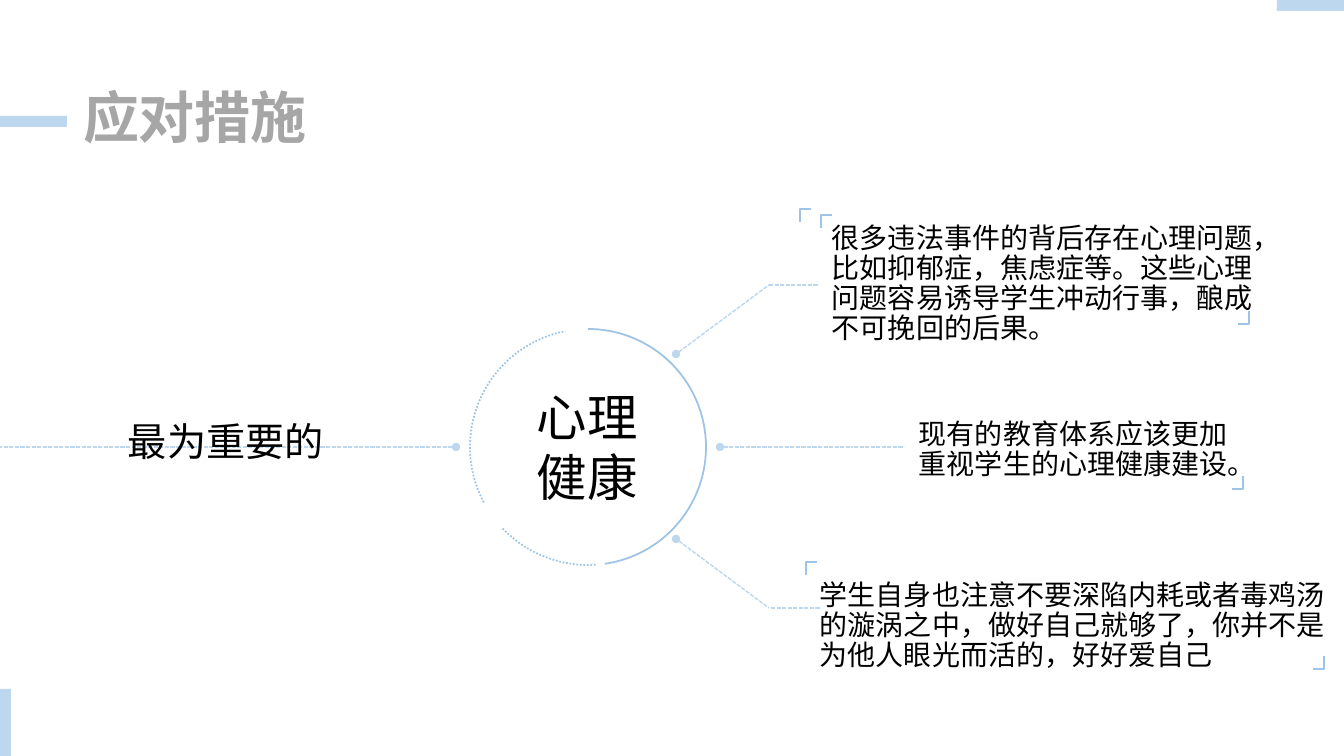
import pptx
import pptx.dml.color
import pptx.enum.dml
import pptx.enum.shapes
import pptx.enum.text
import pptx.oxml
import pptx.oxml.ns
import pptx.util

EMU_PER_PX = 914400 / 100.8
SHAPES = pptx.enum.shapes.MSO_SHAPE
DASHES = pptx.enum.dml.MSO_LINE


def px(*lengths):
    return [pptx.util.Emu(round(length * EMU_PER_PX)) for length in lengths]


def color(hex_value):
    return pptx.dml.color.RGBColor.from_string(hex_value)


def child(parent, tag, **attributes):
    node = pptx.oxml.parse_xml(f"<a:{tag} {pptx.oxml.ns.nsdecls('a')}/>")
    for name, value in attributes.items():
        node.set(name, value)
    parent.append(node)


class MindMapPage:
    """Holds the style of the mind map and draws its elements on one page."""

    font = "Noto Sans CJK SC"
    pale, blue, gray, black = "BDD7EE", "9DC3E6", "A6A6A6", "000000"

    def __init__(self, deck):
        self.page = deck.slides.add_slide(deck.slide_layouts[5])
        self.shapes = self.page.shapes

    def fill_text(self, box, bounds, text, size, ink, bold=False, spacing=None):
        box.left, box.top, box.width, box.height = px(*bounds)
        frame = box.text_frame
        frame_format = {
            "word_wrap": True,
            "auto_size": pptx.enum.text.MSO_AUTO_SIZE.SHAPE_TO_FIT_TEXT,
            "vertical_anchor": pptx.enum.text.MSO_ANCHOR.TOP,
        }
        para = frame.paragraphs[0]
        para_format = {"alignment": pptx.enum.text.PP_ALIGN.LEFT}
        if spacing:
            para_format |= {"line_spacing": spacing, "space_before": pptx.util.Pt(10)}
        span = para.add_run()
        span.text = text
        font_format = {"name": self.font, "size": pptx.util.Pt(size), "bold": bold}
        targets = ((frame, frame_format), (para, para_format), (span.font, font_format))
        for target, values in targets:
            for name, value in values.items():
                setattr(target, name, value)
        span.font.color.rgb = color(ink)
        child(span.font._element, "ea", typeface=self.font)

    def title(self, bounds, text):
        self.fill_text(self.shapes.title, bounds, text, 40, self.gray, True, 0.9)

    def label(self, bounds, text, size, spacing=None):
        box = self.shapes.add_textbox(*px(*bounds))
        self.fill_text(box, bounds, text, size, self.black, spacing=spacing)

    def bar(self, *bounds):
        bar = self.shapes.add_shape(SHAPES.RECTANGLE, *px(*bounds))
        bar.shadow.inherit = False
        bar.fill.solid()
        bar.fill.fore_color.rgb = color(self.pale)
        bar.line.fill.background()

    def stroke(self, shape, hex_value, width, dash=None):
        shape.line.color.rgb = color(hex_value)
        shape.line.width = pptx.util.Pt(width)
        shape.line.dash_style = dash

    def outline(self, shape, width, dash=None):
        shape.shadow.inherit = False
        shape.fill.background()
        self.stroke(shape, self.blue, width, dash)

    def arc(self, bounds, start, end, dash=None):
        arc = self.shapes.add_shape(SHAPES.ARC, *px(*bounds))
        for index, degrees in enumerate((start, end)):
            arc.adjustments[index] = degrees * 0.6
        self.outline(arc, 1.25, dash)

    def bracket(self, corner_x, corner_y, side):
        points = [
            px(corner_x, corner_y + 13 * side),
            px(corner_x, corner_y),
            px(corner_x + 11 * side, corner_y),
        ]
        builder = self.shapes.build_freeform(*points[0])
        builder.add_line_segments(points[1:], close=False)
        self.outline(builder.convert_to_shape(), 1)

    def dashed_line(self, start, end, dot=False):
        straight = pptx.enum.shapes.MSO_CONNECTOR.STRAIGHT
        line = self.shapes.add_connector(straight, *px(*start, *end))
        self.stroke(line, self.pale, 1, DASHES.SQUARE_DOT)
        line.line._ln.prstDash.set("val", "sysDash")
        if dot:
            child(line.line._ln, "headEnd", type="oval")
        child(line._element.spPr, "effectLst")


def main():
    deck = pptx.Presentation()
    deck.slide_width, deck.slide_height = px(1344, 756)
    mind_map = MindMapPage(deck)

    for bounds in ((0, 116, 67, 11), (1277, 0, 67, 11), (0, 689, 11, 67)):
        mind_map.bar(*bounds)
    mind_map.title((73, 85, 427, 72), "应对措施")

    ring = (470, 329, 236, 236)
    mind_map.arc(ring, 270, 81.8)
    for start, end in ((86.3, 137.15), (152, 258.9)):
        mind_map.arc(ring, start, end, DASHES.ROUND_DOT)

    for start, end in (
        ((676, 354), (769, 285)),
        ((676, 539), (769, 608)),
        ((720, 447), (853, 447)),
        ((456, 447), (0, 447)),
    ):
        mind_map.dashed_line(start, end, dot=True)
    for left, top in ((769, 285), (771, 608), (854, 447)):
        mind_map.dashed_line((left, top), (left + 50, top))

    for bounds, text in (
        ((822, 219, 458, 132), "很多违法事件的背后存在心理问题，比如抑郁症，焦虑症等。这些心理问题容易诱导学生冲动行事，酿成不可挽回的后果。"),
        ((909, 415, 345, 72), "现有的教育体系应该更加重视学生的心理健康建设。"),
        ((810, 576, 529, 102), "学生自身也注意不要深陷内耗或者毒鸡汤的漩涡之中，做好自己就够了，你并不是为他人眼光而活的，好好爱自己"),
    ):
        mind_map.label(bounds, text, 20, 0.9)
    mind_map.label((527, 381, 149, 132), "心理健康", 36)
    mind_map.label((118, 412, 236, 57), "最为重要的", 28)

    for corner in ((800, 209), (821, 215), (806, 562)):
        mind_map.bracket(*corner, 1)
    for corner in ((1249, 324), (1243, 489), (1324, 669)):
        mind_map.bracket(*corner, -1)

    deck.save("out.pptx")


if __name__ == "__main__":
    main()
